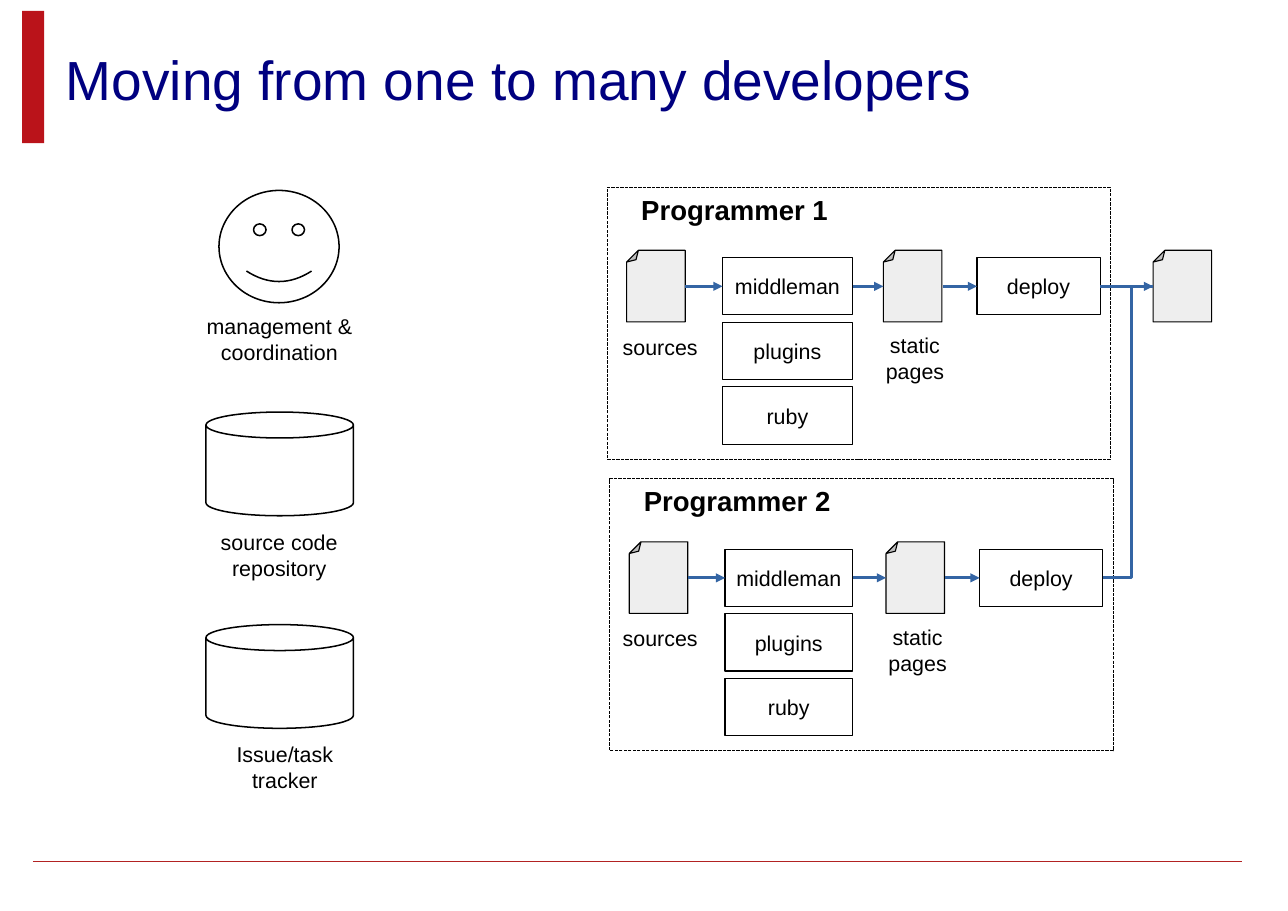
from pptx import Presentation
from pptx.dml.color import RGBColor
from pptx.enum.dml import MSO_LINE
from pptx.enum.shapes import MSO_CONNECTOR, MSO_SHAPE
from pptx.enum.text import MSO_ANCHOR, PP_ALIGN
from pptx.oxml.ns import qn
from pptx.util import Cm, Pt
from lxml import etree

RECT, CAN = MSO_SHAPE.RECTANGLE, MSO_SHAPE.CAN
SMILEY, PAGE = MSO_SHAPE.SMILEY_FACE, MSO_SHAPE.FOLDED_CORNER
STRAIGHT, ELBOW = MSO_CONNECTOR.STRAIGHT, MSO_CONNECTOR.ELBOW
TOP, MIDDLE = MSO_ANCHOR.TOP, MSO_ANCHOR.MIDDLE
LEFT, CENTER = PP_ALIGN.LEFT, PP_ALIGN.CENTER
SHORT_DASH = MSO_LINE.SQUARE_DOT

BLACK = RGBColor(0x00, 0x00, 0x00)
WHITE = RGBColor(0xFF, 0xFF, 0xFF)
NAVY = RGBColor(0x00, 0x00, 0x80)
RED = RGBColor(0xBA, 0x13, 0x1A)
BRICK = RGBColor(0xB2, 0x22, 0x22)
PALE_GREY = RGBColor(0xEE, 0xEE, 0xEE)
BLUE = RGBColor(0x34, 0x65, 0xA4)

prs = Presentation()
prs.slide_width, prs.slide_height = Cm(29.7), Cm(21)
slide = prs.slides.add_slide(prs.slide_layouts[6])
shapes = slide.shapes


def draw(kind, box, fill=None, line=BLACK, width=0):
    shape = shapes.add_shape(kind, *map(Cm, box))
    shape.shadow.inherit = False
    if fill is None:
        shape.fill.background()
    else:
        shape.fill.solid()
        shape.fill.fore_color.rgb = fill
    if line is None:
        shape.line.fill.background()
    else:
        shape.line.color.rgb = line
        shape.line.width = Pt(width)
    return shape


def write(holder, text, size=14, color=BLACK, bold=False, align=CENTER, **frame_format):
    frame = holder.text_frame
    for key, value in {"word_wrap": True, "vertical_anchor": TOP, **frame_format}.items():
        setattr(frame, key, value)
    frame.text = text
    for paragraph in frame.paragraphs:
        paragraph.alignment = align
        font = paragraph.font
        for key, value in {"name": "Arial", "size": Pt(size), "bold": bold}.items():
            setattr(font, key, value)
        font.color.rgb = color


draw(RECT, (0.51, 0.25, 0.51, 3.05), RED, None)
title = shapes.add_textbox(Cm(1.52), Cm(0.33), Cm(27.69), Cm(2.97))
write(title, "Moving from one to many developers", 36, NAVY, align=LEFT,
      vertical_anchor=MIDDLE, margin_left=0, margin_right=0, margin_top=0, margin_bottom=0)

links = [(STRAIGHT, 0.76, 19.86, 28.65, 19.86, BRICK, 0.99, False)]
labels = [
    ("management & coordination", 4.22, 7.09, 4.45, 14, False),
    ("source code repository", 4.42, 12.07, 4.04, 14, False),
    ("Issue/task\ntracker", 4.55, 16.97, 4.04, 14, False),
]

draw(SMILEY, (5.05, 4.39, 2.77, 2.59), width=0.99)
for store_top in (9.5, 14.4):
    draw(CAN, (4.75, store_top, 3.4, 2.39), width=0.99)

page_places = [(26.59, 5.77)]
for programmer, (dx, dy, tool_width) in enumerate([(0, 0, 3), (0.06, 6.72, 2.94)], 1):
    panel = draw(RECT, (14 + dx, 4.32 + dy, 11.61, 6.27), width=0.75)
    panel.line.dash_style = SHORT_DASH
    page_places += [(14.45 + dx, 5.77 + dy), (20.37 + dx, 5.77 + dy)]

    steps = [(name, 16.66, 5.94 + 1.49 * row, tool_width)
             for row, name in enumerate(["middleman", "plugins", "ruby"])]
    steps.append(("deploy", 22.53, 5.94, 2.84))
    for name, left, top, width in steps:
        step = draw(RECT, (left + dx, top + dy, width, 1.32), WHITE)
        write(step, name, vertical_anchor=MIDDLE, word_wrap=False)

    labels += [
        (f"Programmer {programmer}", 13.84 + dx, 4.32 + dy, 6.2, 18, True),
        ("sources", 13.89, 7.57 + dy, 2.67, 14, False),
        ("static pages", 20.02 + dx, 7.54 + dy, 2.16, 14, False),
    ]
    flow_y = 6.6 + dy
    for start, end in [(15.8 + dx, 16.66 + dx), (19.66, 20.37 + dx), (21.74 + dx, 22.53 + dx)]:
        links.append((STRAIGHT, start, flow_y, end, flow_y, BLUE, 0, True))

links += [
    (STRAIGHT, 25.37, 6.6, 26.59, 6.6, BLUE, 0, True),
    (ELBOW, 25.43, 13.32, 26.59, 6.6, BLUE, 0, False),
]

guides = []
for left, top in page_places:
    page = draw(PAGE, (left, top, 1.35, 1.65), PALE_GREY)
    page.rotation = 180
    guides.append((page, "adj", 20000))

for text, left, top, width, size, bold in labels:
    label = shapes.add_textbox(Cm(left), Cm(top), Cm(width), Cm(1.68))
    write(label, text, size, bold=bold)

for kind, x1, y1, x2, y2, color, width, arrow in links:
    link = shapes.add_connector(kind, Cm(x1), Cm(y1), Cm(x2), Cm(y2))
    link.line.color.rgb = color
    link.line.width = Pt(width)
    properties = link._element.spPr
    if arrow:
        etree.SubElement(properties.find(qn("a:ln")), qn("a:tailEnd"), type="triangle")
    if kind == ELBOW:
        guides.append((link, "adj1", 57200))
    etree.SubElement(properties, qn("a:effectLst"))

for bent, guide, value in guides:
    geometry = bent._element.spPr.find(qn("a:prstGeom"))
    for defaults in geometry.findall(qn("a:avLst")):
        geometry.remove(defaults)
    values = etree.SubElement(geometry, qn("a:avLst"))
    etree.SubElement(values, qn("a:gd"), name=guide, fmla=f"val {value}")

prs.save("out.pptx")
